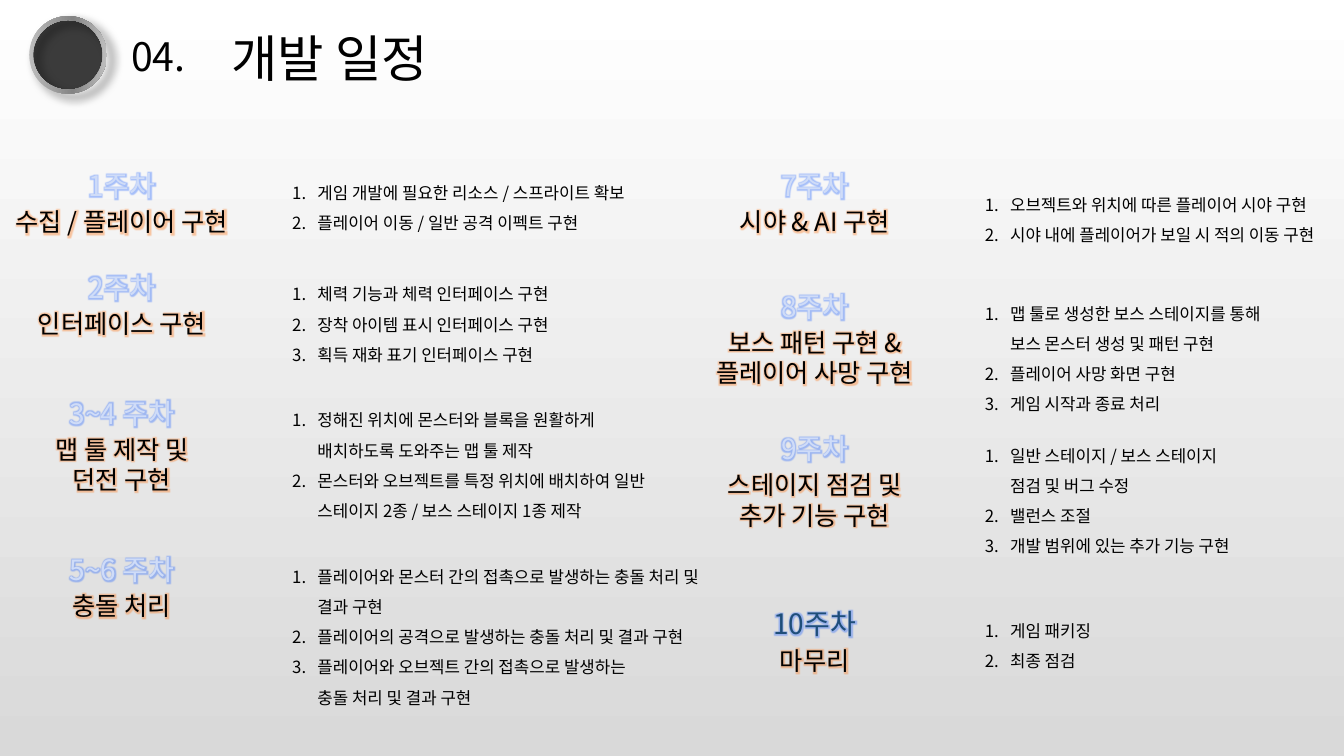
from collections import namedtuple

from lxml import etree
from pptx import Presentation
from pptx.dml.color import RGBColor
from pptx.enum import shapes, text
from pptx.oxml import ns
from pptx.util import Inches, Pt

FONT = "Noto Sans CJK KR"
WHITE = RGBColor(0xFF, 0xFF, 0xFF)
LIGHT_GRAY = RGBColor(0xD9, 0xD9, 0xD9)
BLACK = RGBColor(0x00, 0x00, 0x00)
SOFT_BLACK = RGBColor(0x5C, 0x5C, 0x5C)
DISC = RGBColor(0x3B, 0x3B, 0x3B)
RING_EDGE = RGBColor(0xBE, 0xBE, 0xBE)
RING_MIDDLE = RGBColor(0x84, 0x84, 0x84)
NAVY = RGBColor(0x1F, 0x4E, 0x79)
PALE_BLUES = [(0, RGBColor(0xB2, 0xC8, 0xF5)), (50, RGBColor(0xCF, 0xDC, 0xF8)),
              (100, RGBColor(0xE7, 0xED, 0xFB))]
INK = [(0, BLACK), (100, SOFT_BLACK)]
BLUE_GLOW = RGBColor(0x2E, 0x6C, 0xFF)
ORANGE_GLOW = RGBColor(0xFF, 0x7A, 0x1E)

COLUMN_STEP = 6.87
Week = namedtuple("Week", "column top name name_width topic tasks task_lines task_gap task_width",
                  defaults=(0.04, 3.86))

# "\n" starts a paragraph, "\v" breaks a line inside one
WEEKS = [
    Week(0, 1.62, "1주차", 1.4, "수집 / 플레이어 구현",
         ["게임 개발에 필요한 리소스 / 스프라이트 확보", "플레이어 이동 / 일반 공격 이펙트 구현"], 2),
    Week(0, 2.63, "2주차", 1.4, "인터페이스 구현",
         ["체력 기능과 체력 인터페이스 구현", "장착 아이템 표시 인터페이스 구현",
          "획득 재화 표기 인터페이스 구현"], 3),
    Week(0, 3.88, "3~4 주차", 2.1, "맵 툴 제작 및\v던전 구현",
         ["정해진 위치에 몬스터와 블록을 원활하게\v배치하도록 도와주는 맵 툴 제작",
          "몬스터와 오브젝트를 특정 위치에 배치하여 일반 스테이지 2종 / 보스 스테이지 1종 제작"], 4),
    Week(0, 5.43, "5~6 주차", 2.28, "충돌 처리",
         ["플레이어와 몬스터 간의 접촉으로 발생하는 충돌 처리 및\v결과 구현",
          "플레이어의 공격으로 발생하는 충돌 처리 및 결과 구현",
          "플레이어와 오브젝트 간의 접촉으로 발생하는 \v충돌 처리 및 결과 구현"], 5, 0.04, 4.33),
    Week(1, 1.62, "7주차", 1.4, "시야 & AI 구현",
         ["오브젝트와 위치에 따른 플레이어 시야 구현",
          "시야 내에 플레이어가 보일 시 적의 이동 구현"], 2, 0.16),
    Week(1, 2.82, "8주차", 1.4, "보스 패턴 구현 &\n플레이어 사망 구현",
         ["맵 툴로 생성한 보스 스테이지를 통해\v보스 몬스터 생성 및 패턴 구현",
          "플레이어 사망 화면 구현", "게임 시작과 종료 처리"], 4),
    Week(1, 4.23, "9주차", 1.4, "스테이지 점검 및\n추가 기능 구현",
         ["일반 스테이지 / 보스 스테이지\v점검 및 버그 수정", "밸런스 조절",
          "개발 범위에 있는 추가 기능 구현"], 4),
    Week(1, 5.97, "10주차", 1.4, "마무리", ["게임 패키징", "최종 점검"], 2),
]


def add_element(parent, tag, **attributes):
    element = etree.SubElement(parent, ns.qn(tag))
    for name, value in attributes.items():
        element.set(name, str(value))
    return element


def add_color(parent, color, alpha=None):
    element = add_element(parent, "a:srgbClr", val=color)
    if alpha:
        add_element(element, "a:alpha", val=alpha * 1000)


def add_gradient(parent, stops, angle=90, radial=False):
    gradient = add_element(parent, "a:gradFill", rotWithShape=1)
    stop_list = add_element(gradient, "a:gsLst")
    for position, color in stops:
        add_color(add_element(stop_list, "a:gs", pos=position * 1000), color)
    if radial:
        circle = add_element(gradient, "a:path", path="circle")
        add_element(circle, "a:fillToRect", l=50000, t=50000, r=50000, b=50000)
    else:
        add_element(gradient, "a:lin", ang=angle * 60000, scaled=0)


def format_run(run, size, fill, glow=None):
    run.font.size = Pt(size)
    properties = run.font._element
    if isinstance(fill, RGBColor):
        run.font.color.rgb = fill
    else:
        add_gradient(properties, fill, radial=fill is PALE_BLUES)
    if glow:
        effects = add_element(properties, "a:effectLst")
        add_color(add_element(effects, "a:glow", rad=Pt(5)), glow, alpha=40)
    run.font.name = FONT
    add_element(properties, "a:ea", typeface=FONT)


def fill_text(shape, content, size, fill=INK, glow=None, alignment=text.PP_ALIGN.CENTER):
    frame = shape.text_frame
    frame.text = content
    frame.word_wrap = True
    frame.auto_size = text.MSO_AUTO_SIZE.SHAPE_TO_FIT_TEXT
    frame.vertical_anchor = text.MSO_ANCHOR.TOP
    for paragraph in frame.paragraphs:
        paragraph.alignment = alignment
        for run in paragraph.runs:
            format_run(run, size, fill, glow)


def add_text(slide, left, top, width, height, content, size, **style):
    box = slide.shapes.add_textbox(Inches(left), Inches(top), Inches(width), Inches(height))
    fill_text(box, content, size, **style)
    return box


def add_numbered_list(slide, left, top, width, height, items):
    box = add_text(slide, left, top, width, height, "\n".join(items), 12,
                   alignment=text.PP_ALIGN.LEFT)
    for paragraph in box.text_frame.paragraphs:
        paragraph.line_spacing = 1.5
        properties = paragraph._p.get_or_add_pPr()
        properties.set("marL", str(Inches(0.25)))
        properties.set("indent", str(-Inches(0.25)))
        add_element(properties, "a:buFont", typeface="+mj-lt")
        add_element(properties, "a:buAutoNum", type="arabicPeriod")


def add_round(slide, kind, left, top, size):
    shape = slide.shapes.add_shape(kind, Inches(left), Inches(top), Inches(size), Inches(size))
    shape.shadow.inherit = False
    shape.line.fill.background()
    return shape


def add_badge(slide):
    disc = add_round(slide, shapes.MSO_SHAPE.OVAL, 0.3, 0.18, 0.74)
    disc.fill.solid()
    disc.fill.fore_color.rgb = DISC

    ring = add_round(slide, shapes.MSO_SHAPE.DONUT, 0.29, 0.16, 0.77)
    ring.adjustments[0] = 0.05
    properties = ring._element.spPr
    add_gradient(properties, [(0, RING_EDGE), (56, RING_MIDDLE), (100, RING_EDGE)], angle=0)
    properties.find(ns.qn("a:ln")).addprevious(properties[-1])
    effects = properties.find(ns.qn("a:effectLst"))
    shadow = add_element(effects, "a:outerShdw", blurRad=Pt(7), dist=Pt(6), dir=40 * 60000,
                         algn="tl", rotWithShape=0)
    add_color(shadow, BLACK, alpha=59)


def add_week(slide, week):
    shift = week.column * COLUMN_STEP
    add_text(slide, 1.21 + shift - week.name_width / 2, week.top, week.name_width, 0.44,
             week.name, 20, fill=NAVY if week.name == "10주차" else PALE_BLUES, glow=BLUE_GLOW)
    topic_lines = len(week.topic.splitlines())
    add_text(slide, -0.77 + shift, week.top + 0.38, 3.96, 0.1 + 0.3 * topic_lines,
             week.topic, 18, glow=ORANGE_GLOW)
    add_numbered_list(slide, 2.8 + shift, week.top + week.task_gap, week.task_width,
                      0.07 + 0.3 * week.task_lines, week.tasks)


def main():
    presentation = Presentation()
    presentation.slide_width = Inches(13.33)
    presentation.slide_height = Inches(7.5)
    slide = presentation.slides.add_slide(presentation.slide_layouts[5])

    # Background
    background = slide.background.fill
    background.gradient()
    background.gradient_angle = 270
    for stop, color in zip(background.gradient_stops, (WHITE, LIGHT_GRAY)):
        stop.color.rgb = color

    # Heading
    add_badge(slide)
    add_text(slide, 0.88, 0.27, 1.38, 0.57, "04.", 28)
    title = slide.shapes.title
    title.left, title.top, title.width, title.height = map(Inches, (1.29, 0.22, 3.96, 0.71))
    fill_text(title, "개발 일정", 36)

    # Schedule
    for week in WEEKS:
        add_week(slide, week)

    presentation.save("out.pptx")


if __name__ == "__main__":
    main()
